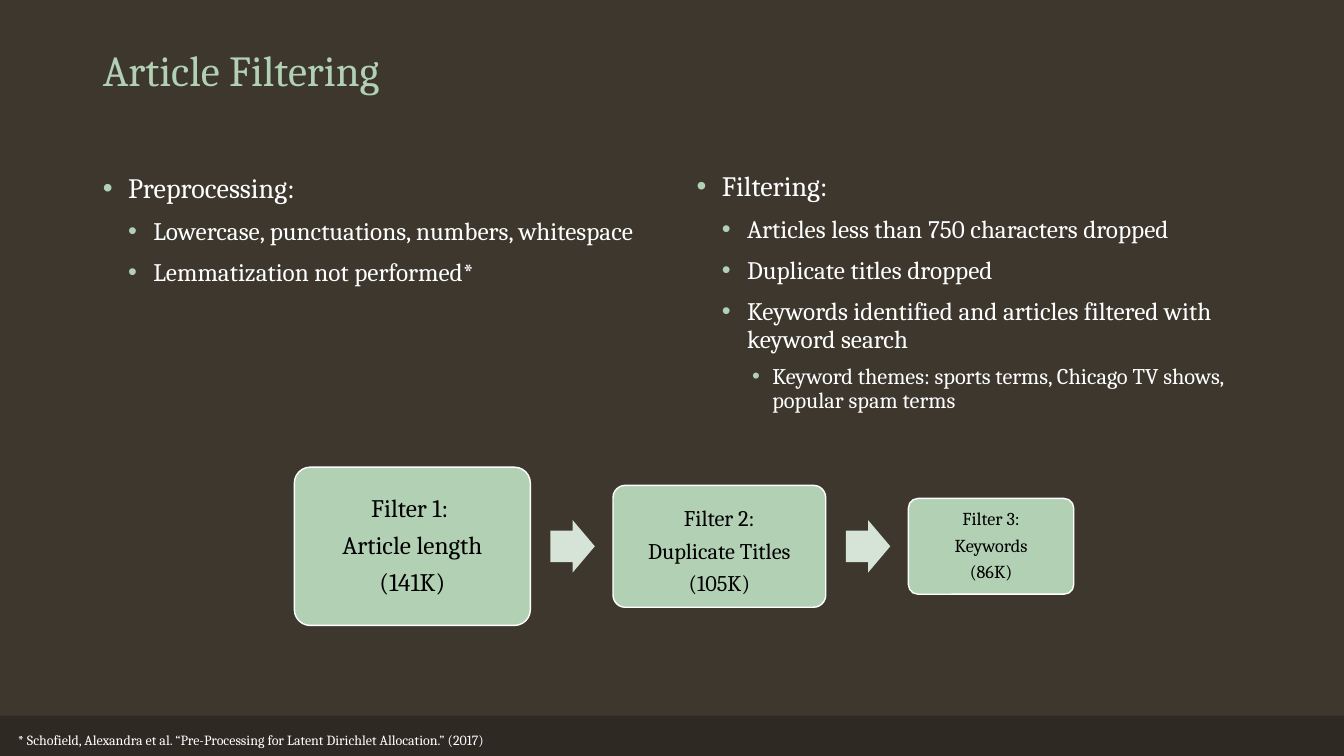
from typing import NamedTuple

from lxml import etree
from pptx import Presentation
from pptx import util as u
from pptx.dml.color import RGBColor
from pptx.enum import shapes, text
from pptx.oxml import ns

FONT = "Cambria"
BACKGROUND = RGBColor(0x3D, 0x37, 0x2E)
FOOTER_BAND = RGBColor(0x2E, 0x29, 0x23)
GREEN = RGBColor(0xB2, 0xD0, 0xB4)
PALE_GREEN = RGBColor(0xD5, 0xE4, 0xD6)
WHITE = RGBColor(0xFF, 0xFF, 0xFF)
BLACK = RGBColor(0, 0, 0)


class Level(NamedTuple):
    size: float
    indent: float
    hanging: float
    before: float


class Bullet(NamedTuple):
    level: int
    words: str


class Filter(NamedTuple):
    lines: tuple[str, ...]
    width: float
    height: float
    size: float
    inset: float
    anchor: text.MSO_ANCHOR


LEVELS = (Level(20, 0.25, 0.25, 18), Level(18, 0.5, 0.25, 10), Level(16, 0.75, 0.2, 8))

PREPROCESSING = (
    Bullet(0, "Preprocessing:"),
    Bullet(1, "Lowercase, punctuations, numbers, whitespace"),
    Bullet(1, "Lemmatization not performed*"),
)
FILTERING = (
    Bullet(0, "Filtering:"),
    Bullet(1, "Articles less than 750 characters dropped"),
    Bullet(1, "Duplicate titles dropped"),
    Bullet(1, "Keywords identified and articles filtered with keyword search"),
    Bullet(2, "Keyword themes: sports terms, Chicago TV shows, popular spam terms"),
)
FILTERS = (
    Filter(("Filter 1: ", "Article length", "(141K)"), 2.34, 1.57, 18, 0.07, text.MSO_ANCHOR.MIDDLE),
    Filter(("Filter 2:", "Duplicate Titles", "(105K)"), 2.11, 1.21, 16, 0.07, text.MSO_ANCHOR.BOTTOM),
    Filter(("Filter 3:", "Keywords", "(86K)"), 1.64, 0.95, 13, 0.05, text.MSO_ANCHOR.MIDDLE),
)
FLOW_LEFT, FLOW_MIDDLE = 2.92, 5.42
ARROW_WIDTH, ARROW_HEIGHT = 0.44, 0.52
GAP_BEFORE_ARROW, GAP_AFTER_ARROW = 0.2, 0.18


def write(para, words: str, *, size: float, color: RGBColor, align=text.PP_ALIGN.LEFT,
          line_spacing: float = 0.9, before: float = 0, after: float = 0) -> None:
    """Put one formatted span of text in a paragraph."""
    para.alignment = align
    para.line_spacing = line_spacing
    para.space_before = u.Pt(before)
    para.space_after = u.Pt(after)
    span = para.add_run()
    span.text = words
    span.font.name = FONT
    span.font.size = u.Pt(size)
    span.font.color.rgb = color


def place(box, left: float, top: float, width: float, height: float) -> None:
    box.left, box.top = u.Inches(left), u.Inches(top)
    box.width, box.height = u.Inches(width), u.Inches(height)


def next_paragraph(frame, index: int):
    return frame.paragraphs[0] if index == 0 else frame.add_paragraph()


def add_bullet_mark(para, level: Level) -> None:
    props = para._p.get_or_add_pPr()
    props.set("marL", str(u.Inches(level.indent)))
    props.set("indent", str(-u.Inches(level.hanging)))
    color = etree.SubElement(props, ns.qn("a:buClr"))
    etree.SubElement(color, ns.qn("a:srgbClr")).set("val", str(GREEN))
    etree.SubElement(props, ns.qn("a:buFont")).set("typeface", "Arial")
    etree.SubElement(props, ns.qn("a:buChar")).set("char", "•")


def fill_list(box, bullets: tuple[Bullet, ...]) -> None:
    frame = box.text_frame
    frame.auto_size = text.MSO_AUTO_SIZE.NONE
    frame.vertical_anchor = text.MSO_ANCHOR.TOP
    for index, bullet in enumerate(bullets):
        level = LEVELS[bullet.level]
        para = next_paragraph(frame, index)
        para.level = bullet.level
        add_bullet_mark(para, level)
        write(para, bullet.words, size=level.size, color=WHITE,
              before=level.before if index else 0)


def add_plain_shape(page, kind, left: float, top: float, width: float, height: float,
                    fill: RGBColor):
    shape = page.shapes.add_shape(kind, u.Inches(left), u.Inches(top),
                                  u.Inches(width), u.Inches(height))
    shape.shadow.inherit = False
    shape.fill.solid()
    shape.fill.fore_color.rgb = fill
    shape.line.fill.background()
    return shape


def add_filter(page, step: Filter, left: float) -> None:
    box = add_plain_shape(page, shapes.MSO_SHAPE.ROUNDED_RECTANGLE, left,
                          FLOW_MIDDLE - step.height / 2, step.width, step.height, GREEN)
    box.adjustments[0] = 0.1
    box.line.color.rgb = WHITE
    box.line.width = u.Pt(1)
    frame = box.text_frame
    frame.word_wrap = True
    frame.vertical_anchor = step.anchor
    frame.margin_left = frame.margin_right = u.Inches(step.inset)
    frame.margin_top = frame.margin_bottom = u.Inches(step.inset)
    last = len(step.lines) - 1
    for index, line in enumerate(step.lines):
        write(next_paragraph(frame, index), line, size=step.size, color=BLACK,
              align=text.PP_ALIGN.CENTER, after=0.37 * step.size if index < last else 0)


def add_arrow(page, left: float) -> None:
    arrow = add_plain_shape(page, shapes.MSO_SHAPE.RIGHT_ARROW, left,
                            FLOW_MIDDLE - ARROW_HEIGHT / 2, ARROW_WIDTH, ARROW_HEIGHT, PALE_GREEN)
    arrow.adjustments[0] = 0.6
    arrow.adjustments[1] = 0.5


def main() -> None:
    deck = Presentation()
    deck.slide_width, deck.slide_height = u.Inches(13.33), u.Inches(7.5)
    page = deck.slides.add_slide(deck.slide_layouts.get_by_name("Two Content"))
    page.background.fill.solid()
    page.background.fill.fore_color.rgb = BACKGROUND

    # Footer band
    add_plain_shape(page, shapes.MSO_SHAPE.RECTANGLE, 0, 7.1, 13.33, 0.4, FOOTER_BAND)

    # Title and lists
    title, left_list, right_list = page.placeholders
    place(title, 0.92, 0.4, 11.5, 0.6)
    title.text_frame.auto_size = text.MSO_AUTO_SIZE.NONE
    title.text_frame.vertical_anchor = text.MSO_ANCHOR.BOTTOM
    write(title.text_frame.paragraphs[0], "Article Filtering", size=30.6, color=GREEN)
    place(left_list, 0.92, 1.68, 5.5, 4.76)
    fill_list(left_list, PREPROCESSING)
    place(right_list, 6.81, 1.66, 5.5, 4.76)
    fill_list(right_list, FILTERING)

    # Filter flow
    left = FLOW_LEFT
    for index, step in enumerate(FILTERS):
        if index:
            add_arrow(page, left + GAP_BEFORE_ARROW)
            left += GAP_BEFORE_ARROW + ARROW_WIDTH + GAP_AFTER_ARROW
        add_filter(page, step, left)
        left += step.width

    # Citation
    citation = page.shapes.add_textbox(u.Inches(0.08), u.Inches(7.21),
                                       u.Inches(12.17), u.Inches(0.27))
    citation.text_frame.word_wrap = True
    write(citation.text_frame.paragraphs[0],
          "* Schofield, Alexandra et al. “Pre-Processing for Latent Dirichlet Allocation.” (2017)",
          size=10, color=WHITE, line_spacing=1.0)

    deck.save("out.pptx")


if __name__ == "__main__":
    main()
